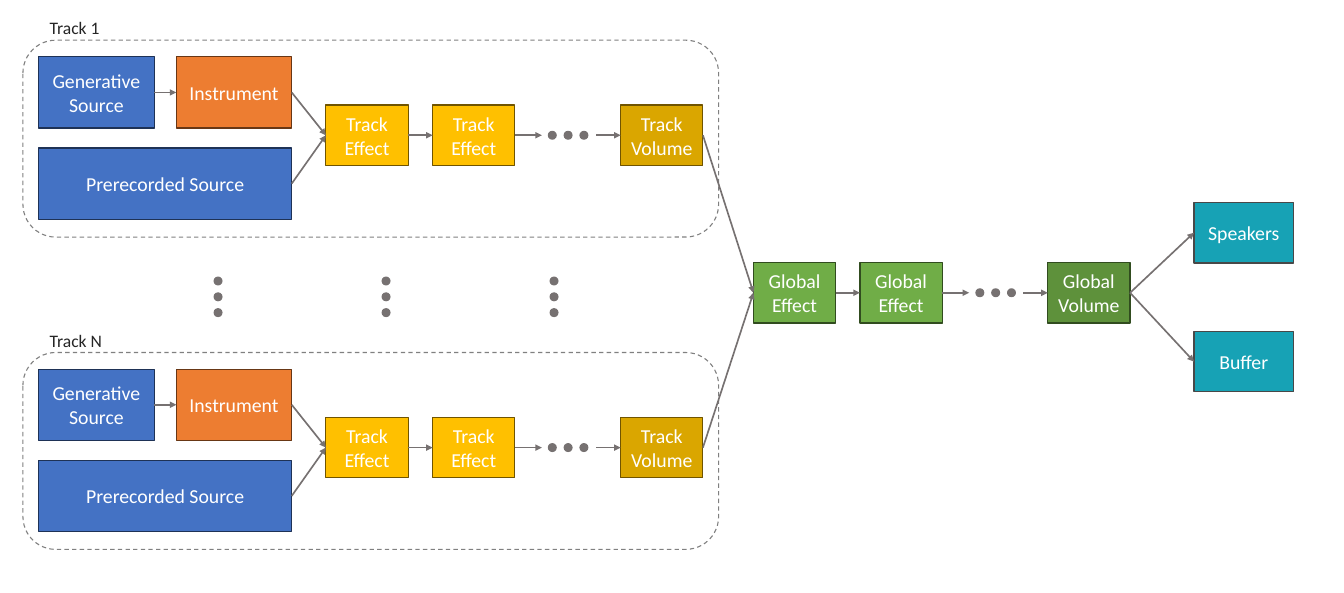
from dataclasses import dataclass
from typing import Optional

from lxml.etree import SubElement
from pptx import Presentation
from pptx.dml.color import RGBColor
from pptx.enum.dml import MSO_LINE
from pptx.enum.shapes import MSO_CONNECTOR, MSO_SHAPE
from pptx.enum.text import MSO_ANCHOR, MSO_AUTO_SIZE, PP_ALIGN
from pptx.oxml.ns import qn
from pptx.shapes.autoshape import Shape
from pptx.util import Pt

FONT = "Calibri"
GRAY = "767171"
LEFT_SIDE, RIGHT_SIDE = 1, 3
DOT_SIZE, DOT_STEP = 7.2, 14.4
STAGE_WIDTH, STAGE_HEIGHT = 75, 55.2
SOURCE_HEIGHT = 64.8
TRACK_STEP = 284.4


@dataclass(frozen=True)
class Style:
    fill: str
    line: str


@dataclass(frozen=True)
class Stage:
    text: str
    style: Style
    offset: float


@dataclass(frozen=True)
class Track:
    name: str
    top: float


SOURCE = Style("4472C4", "1E3256")
INSTRUMENT = Style("ED7D31", "683715")
TRACK_EFFECT = Style("FFC000", "705400")
TRACK_VOLUME = Style("DAA600", "705400")
GLOBAL_EFFECT = Style("70AD47", "314C1F")
GLOBAL_VOLUME = Style("5E913B", "314C1F")
OUTPUT = Style("17A2B5", "484848")
DOT = Style(GRAY, GRAY)

TRACK_STAGES = [
    Stage("Track Effect", TRACK_EFFECT, 0),
    Stage("Track Effect", TRACK_EFFECT, 97.2),
    Stage("Track Volume", TRACK_VOLUME, 268.4),
]
GLOBAL_STAGES = [
    Stage("Global Effect", GLOBAL_EFFECT, 0),
    Stage("Global\nEffect", GLOBAL_EFFECT, 97),
    Stage("Global Volume", GLOBAL_VOLUME, 268),
]
TRACKS = [Track("Track 1", 36.6), Track("Track N", 36.6 + TRACK_STEP)]


def color(value: str) -> RGBColor:
    return RGBColor.from_string(value)


def add_span(para, text: str, size: float, value: str) -> None:
    span = para.add_run()
    span.text = text
    span.font.name = FONT
    span.font.size = Pt(size)
    span.font.color.rgb = color(value)


def add_figure(shapes, kind: MSO_SHAPE, left: float, top: float,
               width: float, height: float, style: Style) -> Shape:
    figure = shapes.add_shape(kind, Pt(left), Pt(top), Pt(width), Pt(height))
    figure.shadow.inherit = False
    figure.fill.solid()
    figure.fill.fore_color.rgb = color(style.fill)
    figure.line.color.rgb = color(style.line)
    figure.line.width = Pt(1)
    return figure


def add_box(shapes, text: str, left: float, top: float,
            width: float, height: float, style: Style) -> Shape:
    box = add_figure(shapes, MSO_SHAPE.RECTANGLE, left, top, width, height, style)
    frame = box.text_frame
    frame.word_wrap = True
    frame.vertical_anchor = MSO_ANCHOR.MIDDLE
    for index, line in enumerate(text.split("\n")):
        para = frame.add_paragraph() if index else frame.paragraphs[0]
        para.alignment = PP_ALIGN.CENTER
        add_span(para, line, 18, "FFFFFF")
    return box


def add_arrow(shapes, start: Optional[Shape], end: Optional[Shape],
              length: float = 0) -> None:
    if start:
        begin_x, begin_y = start.left + start.width, start.top + start.height // 2
    if end:
        end_x, end_y = end.left, end.top + end.height // 2
    if not start:
        begin_x, begin_y = end_x - Pt(length), end_y
    if not end:
        end_x, end_y = begin_x + Pt(length), begin_y
    arrow = shapes.add_connector(MSO_CONNECTOR.STRAIGHT, begin_x, begin_y, end_x, end_y)
    if start:
        arrow.begin_connect(start, RIGHT_SIDE)
    if end:
        arrow.end_connect(end, LEFT_SIDE)
    arrow.line.color.rgb = color(GRAY)
    arrow.line.width = Pt(1.5)
    properties = arrow._element.spPr
    SubElement(properties.get_or_add_ln(), qn("a:tailEnd"), type="triangle")
    SubElement(properties, qn("a:effectLst"))


def add_dots(shapes, left: float, top: float, step_x: float, step_y: float) -> None:
    for index in range(3):
        add_figure(shapes, MSO_SHAPE.OVAL, left + index * step_x, top + index * step_y,
                   DOT_SIZE, DOT_SIZE, DOT)


def add_chain(shapes, stages: list[Stage], left: float, top: float) -> tuple[Shape, Shape]:
    first, second, volume = [
        add_box(shapes, stage.text, left + stage.offset, top,
                STAGE_WIDTH, STAGE_HEIGHT, stage.style)
        for stage in stages
    ]
    add_arrow(shapes, first, second)
    add_dots(shapes, left + 202.6, top + (STAGE_HEIGHT - DOT_SIZE) / 2, DOT_STEP, 0)
    add_arrow(shapes, second, None, 24.5)
    add_arrow(shapes, None, volume, 22.3)
    return first, volume


def add_track(page, track: Track) -> Shape:
    shapes = page.shapes.add_group_shape().shapes
    top = track.top
    panel = add_figure(shapes, MSO_SHAPE.ROUNDED_RECTANGLE, 20.9, top, 633.6, 179.3,
                       Style("FFFFFF", "808080"))
    panel.fill.background()
    panel.line.dash_style = MSO_LINE.DASH
    generative = add_box(shapes, "Generative Source", 35.3, top + 15.2,
                         105.1, SOURCE_HEIGHT, SOURCE)
    prerecorded = add_box(shapes, "Prerecorded Source", 35.3, top + 98.2,
                          230.4, SOURCE_HEIGHT, SOURCE)
    instrument = add_box(shapes, "Instrument", 160.6, top + 15.2,
                         105.1, SOURCE_HEIGHT, INSTRUMENT)
    add_arrow(shapes, generative, instrument)
    effect, volume = add_chain(shapes, TRACK_STAGES, 296.8, top + 59)
    add_arrow(shapes, instrument, effect)
    add_arrow(shapes, prerecorded, effect)
    label = shapes.add_textbox(Pt(38.2), Pt(top - 24.5), Pt(66), Pt(26.6))
    label.text_frame.word_wrap = False
    label.text_frame.auto_size = MSO_AUTO_SIZE.SHAPE_TO_FIT_TEXT
    label.text_frame.paragraphs[0].alignment = PP_ALIGN.LEFT
    add_span(label.text_frame.paragraphs[0], track.name, 16, "262626")
    return volume


def main() -> None:
    deck = Presentation()
    deck.slide_width, deck.slide_height = Pt(1224), Pt(540)
    page = deck.slides.add_slide(deck.slide_layouts[6])

    track_volumes = [add_track(page, track) for track in TRACKS]
    for column in range(3):
        add_dots(page.shapes.add_group_shape().shapes, 195 + column * 153, 252.3, 0, DOT_STEP)
    global_effect, global_volume = add_chain(
        page.shapes.add_group_shape().shapes, GLOBAL_STAGES, 686.2, 239)
    for volume in track_volumes:
        add_arrow(page.shapes, volume, global_effect)
    for text, top in (("Speakers", 184.3), ("Buffer", 301.7)):
        output = add_box(page.shapes, text, 1087.4, top, 90.7, STAGE_HEIGHT, OUTPUT)
        add_arrow(page.shapes, global_volume, output)

    deck.save("out.pptx")


if __name__ == "__main__":
    main()
